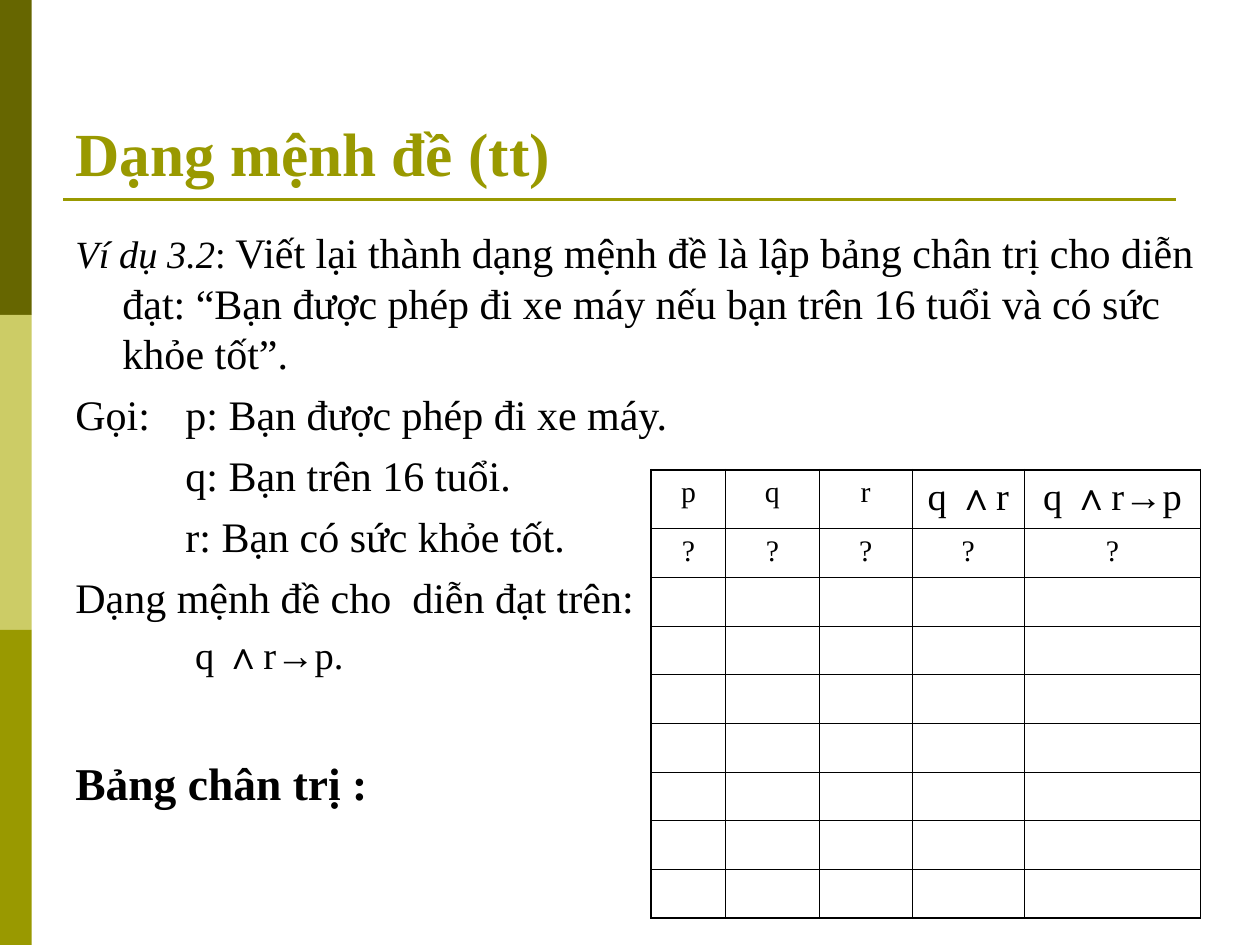
from dataclasses import dataclass
from typing import Any

from lxml import etree
from pptx import Presentation
from pptx.dml.color import RGBColor
from pptx.enum import shapes, text
from pptx.oxml import ns
from pptx.util import Cm, Inches, Pt


@dataclass(frozen=True)
class Theme:
    dark: str = "666600"
    light: str = "CCCC66"
    accent: str = "999900"
    ink: str = "000000"
    serif: str = "Times New Roman"
    symbol: str = "Arial"
    title: float = 35
    heading: float = 26
    body: float = 24
    formula: float = 22
    cell: float = 17
    rule: float = 1.5
    outer_border: float = 1.08
    inner_border: float = 0.45


THEME = Theme()


@dataclass(frozen=True)
class Run:
    text: str
    size: float = THEME.body
    font: str = THEME.serif
    color: str = THEME.ink
    bold: bool = False
    italic: bool = False


@dataclass(frozen=True)
class Line:
    runs: list[Run]
    before: float = 6


@dataclass(frozen=True)
class Box:
    left: float
    top: float
    width: float
    height: float

    def lengths(self) -> tuple[Cm, Cm, Cm, Cm]:
        return Cm(self.left), Cm(self.top), Cm(self.width), Cm(self.height)


def formula(*parts: str) -> list[Run]:
    """Letters are set in the serif face, logic operators in the symbol face."""
    return [
        Run(part, THEME.formula, THEME.symbol if part.strip() in "∧→" else THEME.serif)
        for part in parts
    ]


SLIDE_WIDTH, SLIDE_HEIGHT = 25.4, 19.05
BAND_WIDTH = 0.64
BAND_COLORS = [THEME.dark, THEME.light, THEME.accent]
TITLE_BOX = Box(1.27, 0.76, 22.86, 3.18)
BODY_BOX = Box(1.27, 4.45, 24.13, 13.77)
RULE_START, RULE_END, RULE_TOP = 1.27, 23.7, 4.02
HANGING_INDENT = Cm(0.95)

TITLE = Line([Run("Dạng mệnh đề (tt)", THEME.title, color=THEME.accent, bold=True)], 0)
BODY = [
    Line([
        Run("Ví dụ 3.2", THEME.formula, italic=True),
        Run(": ", THEME.formula),
        Run("Viết lại thành dạng mệnh đề là lập bảng chân trị cho diễn đạt: "
            "“Bạn được phép đi xe máy nếu bạn trên 16 tuổi và có sức khỏe tốt”."),
    ]),
    Line([Run("Gọi:\tp: Bạn được phép đi xe máy.")]),
    Line([Run("\t\tq: Bạn trên 16 tuổi.")]),
    Line([Run("\t\tr: Bạn có sức khỏe tốt.")]),
    Line([Run("Dạng mệnh đề cho  diễn đạt trên:")]),
    Line(formula("\t\t q", " ∧", "r", "→", "p."), 5.5),
    Line([Run("Bảng chân trị :", THEME.heading, bold=True)], 44),
]

TABLE_LEFT, TABLE_TOP = 13.13, 9.47
COLUMN_WIDTHS = [1.5, 1.88, 1.88, 2.26, 3.55]
HEADER_HEIGHT, ROW_HEIGHT, ROW_COUNT = 1.19, 0.98, 9
HEADER = [Line([Run(name, THEME.cell)], 4.2) for name in "pqr"] + [
    Line(formula("q", " ∧", "r"), 5.5),
    Line(formula("q", " ∧", "r", "→", "p"), 5.5),
]
UNKNOWN = Line([Run("?", THEME.cell)], 4.2)


def apply_formats(target: Any, formats: dict[str, Any]) -> None:
    for name, value in formats.items():
        setattr(target, name, value)


def write_line(paragraph: Any, line: Line) -> None:
    paragraph.space_before = Pt(line.before)
    for item in line.runs:
        run = paragraph.add_run()
        run.text = item.text
        apply_formats(run.font, {
            "name": item.font, "size": Pt(item.size),
            "bold": item.bold, "italic": item.italic,
        })
        run.font.color.rgb = RGBColor.from_string(item.color)


def set_hanging_tabs(paragraph: Any) -> None:
    """Hang the first line and place a tab stop at every inch."""
    properties = paragraph._p.get_or_add_pPr()
    properties.set("marL", str(HANGING_INDENT))
    properties.set("indent", str(-HANGING_INDENT))
    stops = etree.SubElement(properties, ns.qn("a:tabLst"))
    for inch in range(8):
        etree.SubElement(stops, ns.qn("a:tab"), pos=str(Inches(inch)), algn="l")


def add_text(slide: Any, box: Box, lines: list[Line], anchor: Any, hanging: bool) -> None:
    frame = slide.shapes.add_textbox(*box.lengths()).text_frame
    apply_formats(frame, {"word_wrap": True, "vertical_anchor": anchor})
    for index, line in enumerate(lines):
        paragraph = frame.add_paragraph() if index else frame.paragraphs[0]
        write_line(paragraph, line)
        if hanging:
            set_hanging_tabs(paragraph)


def add_bands(slide: Any) -> None:
    height = SLIDE_HEIGHT / len(BAND_COLORS)
    for index, color in enumerate(BAND_COLORS):
        box = Box(0, index * height, BAND_WIDTH, height)
        band = slide.shapes.add_shape(shapes.MSO_SHAPE.RECTANGLE, *box.lengths())
        band.shadow.inherit = False
        band.fill.solid()
        band.fill.fore_color.rgb = RGBColor.from_string(color)
        band.line.fill.background()


def add_title_rule(slide: Any) -> None:
    rule = slide.shapes.add_connector(
        shapes.MSO_CONNECTOR.STRAIGHT,
        Cm(RULE_START), Cm(RULE_TOP), Cm(RULE_END), Cm(RULE_TOP),
    )
    rule.line.width = Pt(THEME.rule)
    rule.line.color.rgb = RGBColor.from_string(THEME.accent)
    etree.SubElement(rule._element.spPr, ns.qn("a:effectLst"))


def set_borders(cell: Any, row: int, column: int) -> None:
    outer_sides = {
        "lnL": column == 0, "lnR": column == len(COLUMN_WIDTHS) - 1,
        "lnT": row == 0, "lnB": row == ROW_COUNT - 1,
    }
    properties = cell._tc.get_or_add_tcPr()
    for side, outer in outer_sides.items():
        width = Pt(THEME.outer_border if outer else THEME.inner_border)
        border = etree.SubElement(properties, ns.qn(f"a:{side}"), w=str(width))
        fill = etree.SubElement(border, ns.qn("a:solidFill"))
        etree.SubElement(fill, ns.qn("a:srgbClr"), val=THEME.ink)


def add_truth_table(slide: Any) -> None:
    heights = [HEADER_HEIGHT] + [ROW_HEIGHT] * (ROW_COUNT - 1)
    box = Box(TABLE_LEFT, TABLE_TOP, sum(COLUMN_WIDTHS), sum(heights))
    table = slide.shapes.add_table(
        ROW_COUNT, len(COLUMN_WIDTHS), *box.lengths()
    ).table
    apply_formats(table, {"first_row": False, "horz_banding": False})
    for column, width in zip(table.columns, COLUMN_WIDTHS):
        column.width = Cm(width)
    for row, height in zip(table.rows, heights):
        row.height = Cm(height)
    contents = [HEADER, [UNKNOWN] * len(COLUMN_WIDTHS)]
    for row in range(ROW_COUNT):
        for column in range(len(COLUMN_WIDTHS)):
            cell = table.cell(row, column)
            set_borders(cell, row, column)
            cell.fill.background()
            paragraph = cell.text_frame.paragraphs[0]
            paragraph.alignment = text.PP_ALIGN.CENTER
            if row < len(contents):
                write_line(paragraph, contents[row][column])
            else:
                etree.SubElement(paragraph._p, ns.qn("a:endParaRPr"), sz=str(int(THEME.cell * 100)))


def main() -> None:
    presentation = Presentation()
    apply_formats(presentation, {"slide_width": Cm(SLIDE_WIDTH), "slide_height": Cm(SLIDE_HEIGHT)})
    slide = presentation.slides.add_slide(presentation.slide_layouts[6])
    add_bands(slide)
    add_title_rule(slide)
    add_text(slide, TITLE_BOX, [TITLE], text.MSO_ANCHOR.BOTTOM, hanging=False)
    add_text(slide, BODY_BOX, BODY, text.MSO_ANCHOR.TOP, hanging=True)
    add_truth_table(slide)
    presentation.save("out.pptx")


if __name__ == "__main__":
    main()
